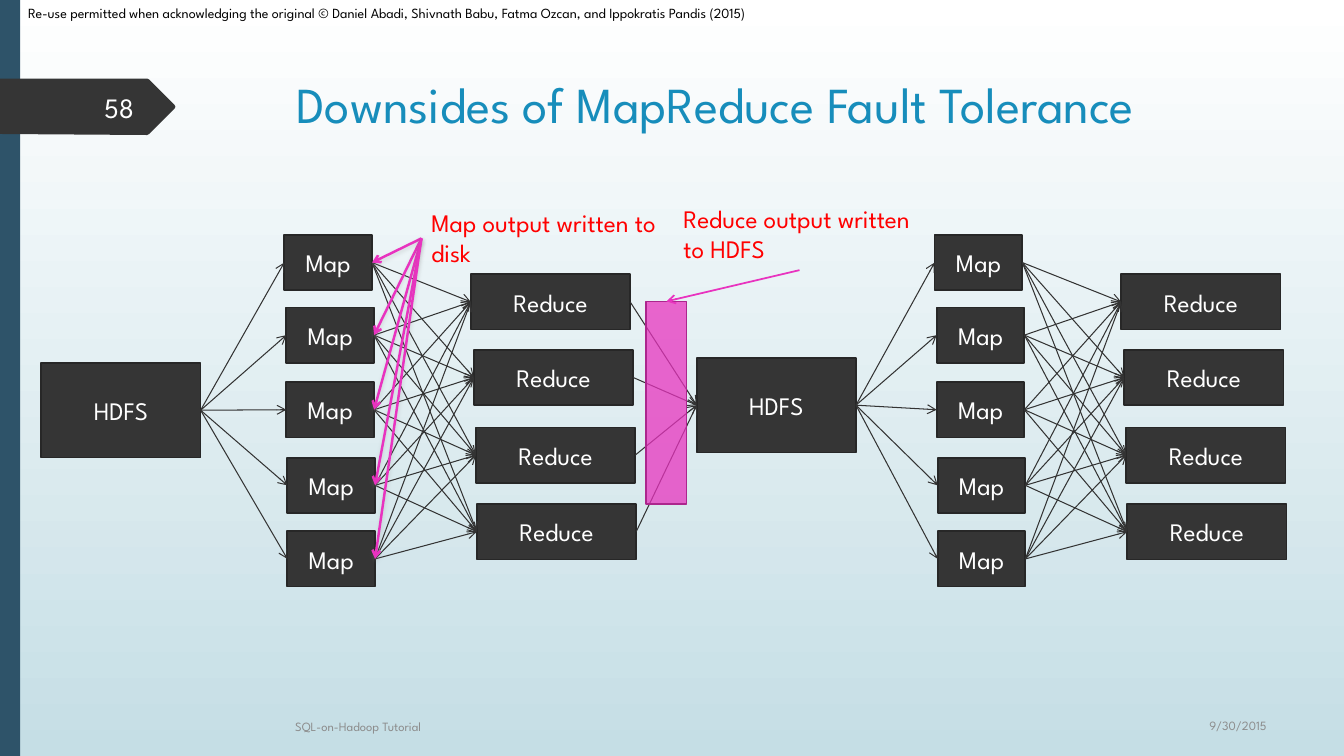
from pptx import Presentation
from pptx.dml.color import RGBColor
from pptx.enum import shapes as sh, text as tx
from pptx.oxml import parse_xml
from pptx.oxml.ns import nsdecls
from pptx.util import Inches, Pt

# Content
TITLE = "Downsides of MapReduce Fault Tolerance"
CREDIT = ("Re-use permitted when acknowledging the original © Daniel Abadi, "
          "Shivnath Babu, Fatma Ozcan, and Ippokratis Pandis (2015)")
FOOTER, DATE, NUMBER = "SQL-on-Hadoop Tutorial", "9/30/2015", "58"
MAP_NOTE = "Map output written to disk"
REDUCE_NOTE = "Reduce output written to HDFS"

# Left and top of each box in a stage; the second stage is shifted right
MAPS = [(2.82, 2.33), (2.84, 3.05), (2.84, 3.79), (2.85, 4.54), (2.85, 5.27)]
REDUCES = [(4.67, 2.72), (4.7, 3.47), (4.72, 4.24), (4.73, 5)]
STORES = [(0.41, 3.6), (6.91, 3.55)]
SHIFT = 6.45
MAP_SIZE, REDUCE_SIZE, STORE_SIZE = (0.87, 0.55), (1.58, 0.55), (1.58, 0.94)
TAG = [(-0.01, 0.78), (1.46, 0.78), (1.48, 0.79), (1.73, 1.04), (1.74, 1.06),
       (1.73, 1.08), (1.48, 1.33), (1.46, 1.34), (-0.01, 1.33)]

# Colours
FONT = "League Spartan"
WHITE = RGBColor(0xFF, 0xFF, 0xFF)
BLACK = RGBColor(0, 0, 0)
SKY = RGBColor(0xC5, 0xDE, 0xE5)
NAVY = RGBColor(0x2E, 0x53, 0x69)
BLUE = RGBColor(0x17, 0x8D, 0xBB)
DARK = RGBColor(0x35, 0x35, 0x35)
EDGE = RGBColor(0x27, 0x27, 0x27)
WIRE = RGBColor(0x33, 0x33, 0x33)
GREY = RGBColor(0x8C, 0x8C, 0x8C)
RED = RGBColor(0xFF, 0, 0)
PINK = RGBColor(0xE8, 0x33, 0xBF)
PLUM = RGBColor(0xAC, 0x26, 0x8D)

# Shape sides that arrows attach to
TOP, LEFT, BOTTOM, RIGHT = range(4)

prs = Presentation()
prs.slide_width, prs.slide_height = Inches(13.33), Inches(7.5)
slide = prs.slides.add_slide(prs.slide_layouts[5])


def write(shape, words, size=18, color=WHITE, align=tx.PP_ALIGN.LEFT,
          anchor=tx.MSO_ANCHOR.TOP):
    frame = shape.text_frame
    frame.word_wrap = True
    frame.auto_size = tx.MSO_AUTO_SIZE.NONE
    frame.vertical_anchor = anchor
    para = frame.paragraphs[0]
    para.alignment = align
    run = para.add_run()
    run.text = words
    run.font.name, run.font.size, run.font.color.rgb = FONT, Pt(size), color


def label(words, left, top, width, height, **form):
    box = slide.shapes.add_textbox(*map(Inches, (left, top, width, height)))
    write(box, words, **form)
    return box


def paint(shape, fill, edge=None):
    shape.shadow.inherit = False
    shape.fill.solid()
    shape.fill.fore_color.rgb = fill
    if edge is None:
        shape.line.fill.background()
    else:
        shape.line.color.rgb, shape.line.width = edge, Pt(1.25)


def block(left, top, width, height, fill=DARK, edge=EDGE, words=""):
    box = slide.shapes.add_shape(sh.MSO_SHAPE.RECTANGLE,
                                 *map(Inches, (left, top, width, height)))
    paint(box, fill, edge)
    if words:
        write(box, words, align=tx.PP_ALIGN.CENTER, anchor=tx.MSO_ANCHOR.MIDDLE)
    return box


def column(words, spots, size, shift=0):
    return [block(x + shift, y, *size, words=words) for x, y in spots]


def arrow(start, side, end, goal, color=WIRE, width=0.75, shadow=""):
    wire = slide.shapes.add_connector(sh.MSO_CONNECTOR.STRAIGHT, 0, 0, 0, 0)
    wire.begin_connect(start, side)
    wire.end_connect(end, goal)
    wire.line.color.rgb, wire.line.width = color, Pt(width)
    wire.line._get_or_add_ln().append(
        parse_xml(f'<a:tailEnd {nsdecls("a")} type="arrow"/>'))
    wire._element.spPr.append(
        parse_xml(f'<a:effectLst {nsdecls("a")}>{shadow}</a:effectLst>'))


def mesh(starts, ends):
    for start in starts:
        for end in ends:
            arrow(start, RIGHT, end, LEFT)


# Background, side bar and number tag
back = slide.background.fill
back.gradient()
back.gradient_angle = 270
for stop, color, place in zip(back.gradient_stops, (WHITE, SKY), (0, 1)):
    stop.color.rgb, stop.position = color, place
block(0, 0, 0.2, 7.5, fill=NAVY, edge=None)
pen = slide.shapes.build_freeform(*map(Inches, TAG[0]), scale=1.0)
pen.add_line_segments([(Inches(x), Inches(y)) for x, y in TAG[1:]], close=True)
paint(pen.convert_to_shape(), DARK)

# Title and small texts
title = slide.shapes.title
title.left, title.top, title.width, title.height = map(
    Inches, (2.84, 0.68, 9.75, 1.4))
write(title, TITLE, size=36, color=BLUE)
label(CREDIT, 0.18, 0, 10, 0.33, size=10, color=BLACK)
middle = tx.MSO_ANCHOR.MIDDLE
right = tx.PP_ALIGN.RIGHT
label(DATE, 11.41, 7, 1.25, 0.4, size=9, color=GREY, align=right, anchor=middle)
label(FOOTER, 2.83, 7.01, 8.33, 0.4, size=9, color=GREY, anchor=middle)
label(NUMBER, 0.58, 0.86, 0.85, 0.4, size=20, align=right, anchor=middle)

# Two stages, each fed by a store
stores = column("HDFS", STORES, STORE_SIZE)
stages = [(column("Map", MAPS, MAP_SIZE, shift),
           column("Reduce", REDUCES, REDUCE_SIZE, shift))
          for shift in (0, SHIFT)]
for store, (maps, reduces) in zip(stores, stages):
    mesh([store], maps)
    mesh(maps, reduces)
first_maps, first_reduces = stages[0]
mesh(first_reduces, stores[1:])

# Map note, pointing at every map of the first stage
SHADOW = ('<a:outerShdw blurRad="38100" dist="25400" dir="5400000" rotWithShape="0">'
          '<a:srgbClr val="808080"><a:alpha val="25000"/></a:srgbClr></a:outerShdw>')
note = label(MAP_NOTE, 4.18, 2.01, 2.5, 0.71, color=RED)
for box in first_maps:
    arrow(note, LEFT, box, RIGHT, color=PINK, width=1.75, shadow=SHADOW)

# Reduce note, pointing at the see-through bar
note = label(REDUCE_NOTE, 6.68, 1.97, 2.5, 0.71, color=RED)
bar = block(6.41, 2.99, 0.4, 2.01, fill=PINK, edge=PLUM)
bar.fill._xPr.solidFill[0].append(
    parse_xml(f'<a:alpha {nsdecls("a")} val="74000"/>'))
arrow(note, BOTTOM, bar, TOP, color=PINK, width=1.25)

prs.save("out.pptx")
